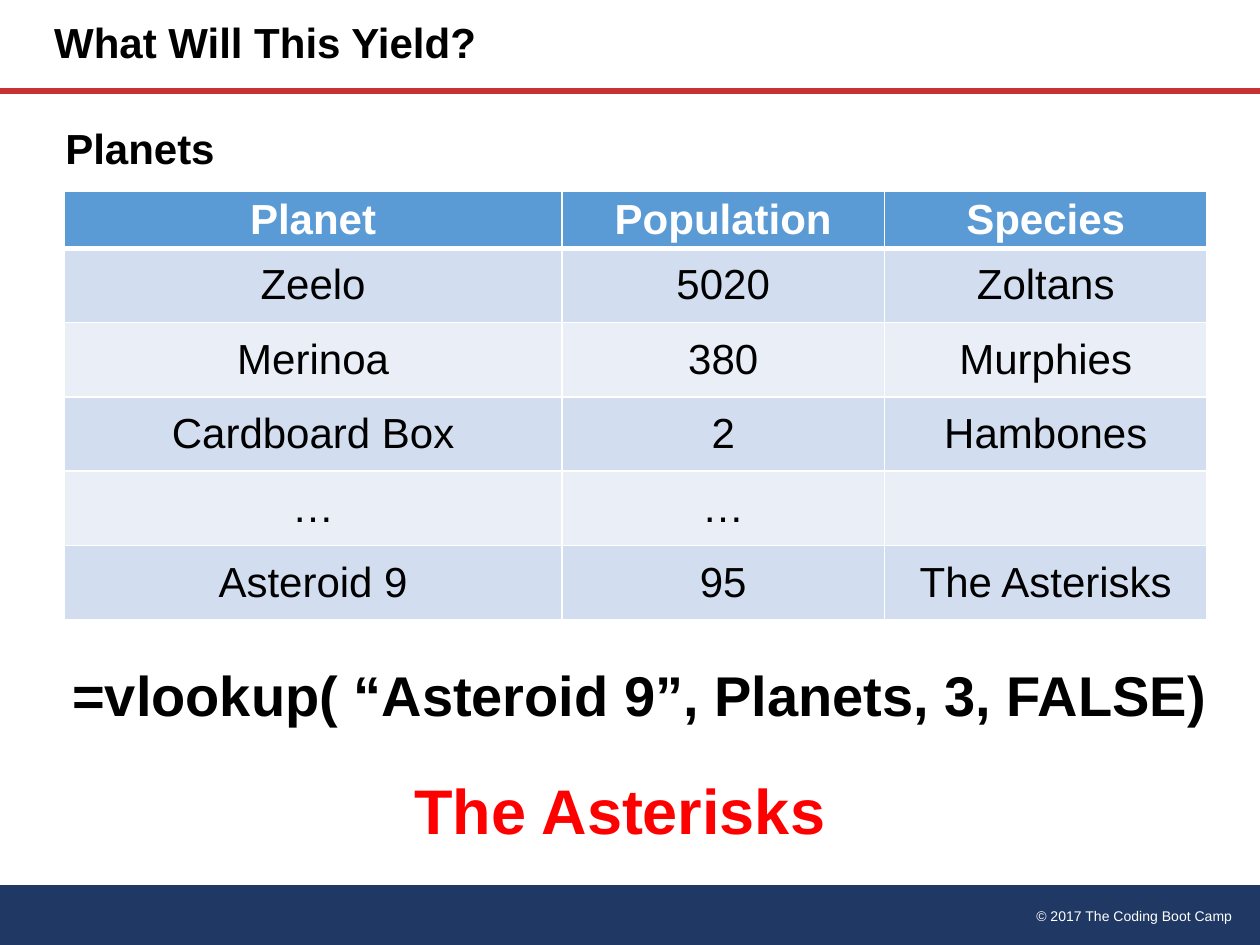
from dataclasses import dataclass

from lxml import etree
from pptx import Presentation
from pptx import util as u
from pptx.dml.color import RGBColor
from pptx.enum import shapes, text
from pptx.oxml.ns import qn


@dataclass(frozen=True)
class Theme:
    font: str = "Arial"
    ink: str = "000000"
    paper: str = "FFFFFF"
    rule: str = "C83232"
    footer: str = "203864"
    header: str = "5B9BD5"
    bands: tuple = ("D2DEEF", "EAEFF7")
    answer: str = "FF0000"
    small: float = 8
    body: float = 24
    formula: float = 32
    result: float = 36


THEME = Theme()
WIDTH, HEIGHT = 10, 7.5
LINE_WIDTH, LINE_HEIGHT = 9.5, 0.73
COLUMNS = (3.95, 2.56, 2.56)
HEADER_HEIGHT, ROW_HEIGHT = 0.45, 0.59
PLANETS = (
    ("Planet", "Population", "Species"),
    ("Zeelo", "5020", "Zoltans"),
    ("Merinoa", "380", "Murphies"),
    ("Cardboard Box", "2", "Hambones"),
    ("…", "…", ""),
    ("Asteroid 9", "95", "The Asterisks"),
)
LEFT, CENTER, RIGHT = (text.PP_ALIGN.LEFT, text.PP_ALIGN.CENTER,
                       text.PP_ALIGN.RIGHT)


def color(value):
    return RGBColor.from_string(value)


def box(*lengths):
    return [u.Inches(length) for length in lengths]


def write(frame, words, size, ink=THEME.ink, bold=True, align=LEFT, spacing=None):
    """Put one formatted run in the first paragraph of a frame."""
    paragraph = frame.paragraphs[0]
    paragraph.alignment = align
    if spacing:
        paragraph.line_spacing = spacing
    run = paragraph.add_run()
    run.text = words
    run.font.name = THEME.font
    run.font.size = u.Pt(size)
    run.font.bold = bold
    run.font.color.rgb = color(ink)


def add_line_of_text(slide, place, words, size, **style):
    frame = slide.shapes.add_textbox(*box(*place)).text_frame
    frame.word_wrap = True
    frame.vertical_anchor = text.MSO_ANCHOR.MIDDLE
    write(frame, words, size, **style)


def add_footer(slide):
    top = 7.02
    band = slide.shapes.add_shape(shapes.MSO_SHAPE.FLOWCHART_PROCESS,
                                  *box(0, top, WIDTH, HEIGHT - top))
    band.shadow.inherit = False
    band.fill.solid()
    band.fill.fore_color.rgb = color(THEME.footer)
    band.line.fill.background()
    add_line_of_text(slide, (6.83, 7.15, 3.05, 0.24), "© 2017 The Coding Boot Camp",
                     THEME.small, ink=THEME.paper, bold=False, align=RIGHT)


def add_title_rule(slide, height):
    rule = slide.shapes.add_connector(shapes.MSO_CONNECTOR.STRAIGHT,
                                      *box(0, height, WIDTH, height))
    rule.line.color.rgb = color(THEME.rule)
    rule.line.width = u.Pt(3.25)
    etree.SubElement(rule._element.spPr, qn("a:effectLst"))


def set_title(slide, words, height):
    title = slide.shapes.title
    title.left, title.top, title.width, title.height = box(0.33, 0, 5.98, height)
    title.text_frame.vertical_anchor = text.MSO_ANCHOR.MIDDLE
    write(title.text_frame, words, THEME.body, spacing=0.9)


def set_borders(cell, **widths):
    """Draw the cell's borders; they must come before its fill in the XML."""
    properties = cell._tc.get_or_add_tcPr()
    for place, side in enumerate("LRTB"):
        border = etree.Element(qn(f"a:ln{side}"), w=str(u.Pt(widths.get(side, 1))))
        solid = etree.SubElement(border, qn("a:solidFill"))
        etree.SubElement(solid, qn("a:srgbClr"), val=THEME.paper)
        properties.insert(place, border)


def add_planets_table(slide):
    heights = [HEADER_HEIGHT] + [ROW_HEIGHT] * (len(PLANETS) - 1)
    table = slide.shapes.add_table(
        len(PLANETS), len(COLUMNS),
        *box(0.51, 1.52, sum(COLUMNS), sum(heights))).table
    for column, width in zip(table.columns, COLUMNS):
        column.width = u.Inches(width)
    for index, (height, planet) in enumerate(zip(heights, PLANETS)):
        table.rows[index].height = u.Inches(height)
        is_header = index == 0
        fill = THEME.header if is_header else THEME.bands[(index - 1) % 2]
        borders = {0: {"B": 3}, 1: {"T": 3}}.get(index, {})
        for column, words in enumerate(planet):
            cell = table.cell(index, column)
            cell.margin_top = cell.margin_bottom = u.Inches(0.02)
            cell.vertical_anchor = text.MSO_ANCHOR.MIDDLE
            cell.fill.solid()
            cell.fill.fore_color.rgb = color(fill)
            set_borders(cell, **borders)
            if words:
                write(cell.text_frame, words, THEME.body, bold=is_header, align=CENTER,
                      ink=THEME.paper if is_header else THEME.ink)


def main():
    deck = Presentation()
    deck.slide_width, deck.slide_height = box(WIDTH, HEIGHT)
    slide = deck.slides.add_slide(deck.slide_layouts[5])
    title_height = 0.72

    # Frame of the slide
    add_footer(slide)
    add_title_rule(slide, title_height)
    set_title(slide, "What Will This Yield?", title_height)

    # Lookup table, formula and answer
    add_planets_table(slide)
    for left, top, words, size, ink, align in (
        (0.33, 5.18, "=vlookup( “Asteroid 9”, Planets, 3, FALSE)",
         THEME.formula, THEME.ink, CENTER),
        (0.42, 0.83, "Planets", THEME.body, THEME.ink, LEFT),
        (0.17, 6.1, "The Asterisks", THEME.result, THEME.answer, CENTER),
    ):
        add_line_of_text(slide, (left, top, LINE_WIDTH, LINE_HEIGHT), words, size,
                         ink=ink, align=align, spacing=0.9)

    deck.save("out.pptx")


if __name__ == "__main__":
    main()
